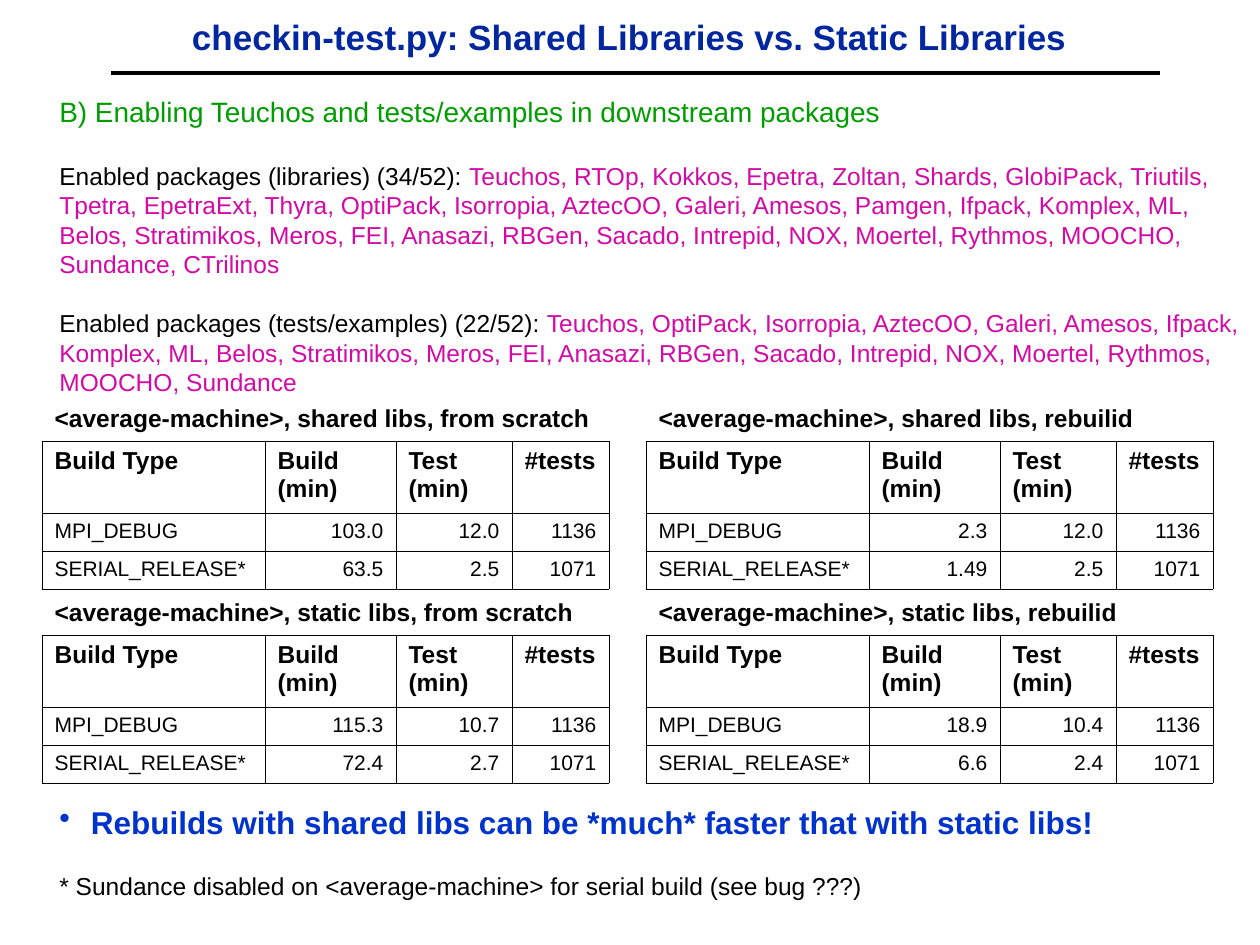
"""Build the slide comparing shared and static library build times."""
import pptx
import pptx.dml.color
import pptx.enum.shapes
import pptx.enum.text
import pptx.oxml
import pptx.oxml.ns
import pptx.util

FONT = "Arial"
COLORS = {"title": "00279F", "head": "009D00", "text": "000000",
          "list": "D30AA5", "point": "0033CC", "paper": "FFFFFF"}
TITLE = "checkin-test.py: Shared Libraries vs. Static Libraries"
BODY = [
    (16, 0, [("B) Enabling Teuchos and tests/examples in downstream packages", "head")]),
    (14, 19, [
        ("Enabled packages (libraries) (34/52): ", "text"),
        ("Teuchos, RTOp, Kokkos, Epetra, Zoltan, Shards, GlobiPack, Triutils, Tpetra, "
         "EpetraExt, Thyra, OptiPack, Isorropia, AztecOO, Galeri, Amesos, Pamgen, Ifpack, "
         "Komplex, ML, Belos, Stratimikos, Meros, FEI, Anasazi, RBGen, Sacado, Intrepid, "
         "NOX, Moertel, Rythmos, MOOCHO, Sundance, CTrilinos", "list")]),
    (14, 17, [
        ("Enabled packages (tests/examples) (22/52): ", "text"),
        ("Teuchos, OptiPack, Isorropia, AztecOO, Galeri, Amesos, Ifpack, Komplex, ML, "
         "Belos, Stratimikos, Meros, FEI, Anasazi, RBGen, Sacado, Intrepid, NOX, Moertel, "
         "Rythmos, MOOCHO, Sundance", "list")]),
]
NOTES = [
    (18, 0, [("Rebuilds with shared libs can be *much* faster that with static libs!", "point")]),
    (14, 17, [("* Sundance disabled on <average-machine> for serial build (see bug ???)", "text")]),
]
HEADS = ["Build Type", "Build (min)", "Test (min)", "#tests"]
BUILDS = [("MPI_DEBUG", "1136"), ("SERIAL_RELEASE*", "1071")]
TIMES = [
    [("shared libs, from scratch", [("103.0", "12.0"), ("63.5", "2.5")]),
     ("shared libs, rebuilid", [("2.3", "12.0"), ("1.49", "2.5")])],
    [("static libs, from scratch", [("115.3", "10.7"), ("72.4", "2.7")]),
     ("static libs, rebuilid", [("18.9", "10.4"), ("6.6", "2.4")])],
]
COLS = [223, 131, 116, 97]
ROWS = [42, 72, 38, 38]
LEFT, TOP, STEP_X, STEP_Y = 42, 399, 604, 194
PLAIN = "{2D5ABB26-0587-4C30-8999-92F81FD0307C}"


def px(num):
    return pptx.util.Emu(round(num * 914400 / 126))


def rgb(name):
    return pptx.dml.color.RGBColor.from_string(COLORS[name])


def xml(tag, attrs="", inner=""):
    space = pptx.oxml.ns.nsdecls("a")
    return pptx.oxml.parse_xml(f"<a:{tag} {space} {attrs}>{inner}</a:{tag}>")


def tint(name):
    return f'<a:srgbClr val="{COLORS[name]}"/>'


def style(run, size, color, bold=False):
    font = run.font
    font.name, font.size, font.bold = FONT, pptx.util.Pt(size), bold
    font.color.rgb = rgb(color)


def add_text(slide, box, paras):
    frame = slide.shapes.add_textbox(*map(px, box)).text_frame
    frame.word_wrap = True
    for num, (size, gap, parts) in enumerate(paras):
        para = frame.add_paragraph() if num else frame.paragraphs[0]
        para.space_before = pptx.util.Pt(gap)
        for words, color in parts:
            run = para.add_run()
            run.text = words
            style(run, size, color)
    return frame


def add_notes(slide):
    frame = add_text(slide, (47, 797, 1113, 110), NOTES)
    for para in frame.paragraphs:
        props = para._p.get_or_add_pPr()
        props.set("marL", "228600")
        props.set("indent", "-228600")
    first = frame.paragraphs[0]
    first.runs[0].font.bold = True
    props = first._p.get_or_add_pPr()
    props.append(xml("buClr", inner=tint("point")))
    props.append(xml("buChar", 'char="•"'))


def edge(cell, sides):
    props = cell._tc.get_or_add_tcPr()
    fill = f"<a:solidFill>{tint('text')}</a:solidFill>"
    for num, side in enumerate(sides):
        props.insert(num, xml("ln" + side, 'w="5715"', fill))


def add_grid(slide, left, top, label, times):
    box = (left, top, sum(COLS), sum(ROWS))
    table = slide.shapes.add_table(len(ROWS), len(COLS), *map(px, box)).table
    table._tbl.tblPr[0].text = PLAIN
    table.first_row = table.horz_banding = False
    for col, width in zip(table.columns, COLS):
        col.width = px(width)
    for row, height in zip(table.rows, ROWS):
        row.height = px(height)
    data = [[f"<average-machine>, {label}", "", "", ""], HEADS]
    data += [[name, *pair, tests] for (name, tests), pair in zip(BUILDS, times)]
    table.cell(0, 0).merge(table.cell(0, len(COLS) - 1))
    for r, line in enumerate(data):
        for c, words in enumerate(line):
            cell = table.cell(r, c)
            cell.fill.solid()
            cell.fill.fore_color.rgb = rgb("paper")
            edge(cell, "LRTB" if r else "B")
            if words:
                cell.text_frame.text = words
                para = cell.text_frame.paragraphs[0]
                style(para.runs[0], 14 if r < 2 else 12, "text", r < 2)
                if r > 1 and c:
                    para.alignment = pptx.enum.text.PP_ALIGN.RIGHT


def add_title(slide):
    title = slide.shapes.title
    title.left, title.top, title.width, title.height = map(px, (94, 10, 1071, 53))
    frame = title.text_frame
    frame.text = TITLE
    frame.auto_size = pptx.enum.text.MSO_AUTO_SIZE.NONE
    frame.vertical_anchor = pptx.enum.text.MSO_ANCHOR.MIDDLE
    para = frame.paragraphs[0]
    para.alignment = pptx.enum.text.PP_ALIGN.CENTER
    style(para.runs[0], 20, "title", True)
    rule = slide.shapes.add_connector(pptx.enum.shapes.MSO_CONNECTOR.STRAIGHT,
                                      px(111), px(73), px(1160), px(73))
    rule.line.color.rgb = rgb("text")
    rule.line.width = pptx.util.Pt(2)
    rule._element.spPr.append(xml("effectLst"))


def main():
    deck = pptx.Presentation()
    deck.slide_width, deck.slide_height = px(1260), px(945)
    slide = deck.slides.add_slide(deck.slide_layouts[5])
    add_title(slide)
    add_notes(slide)
    add_text(slide, (47, 88, 1213, 345), BODY)
    for r, line in enumerate(TIMES):
        for c, (label, times) in enumerate(line):
            add_grid(slide, LEFT + c * STEP_X, TOP + r * STEP_Y, label, times)
    deck.save("out.pptx")


if __name__ == "__main__":
    main()
